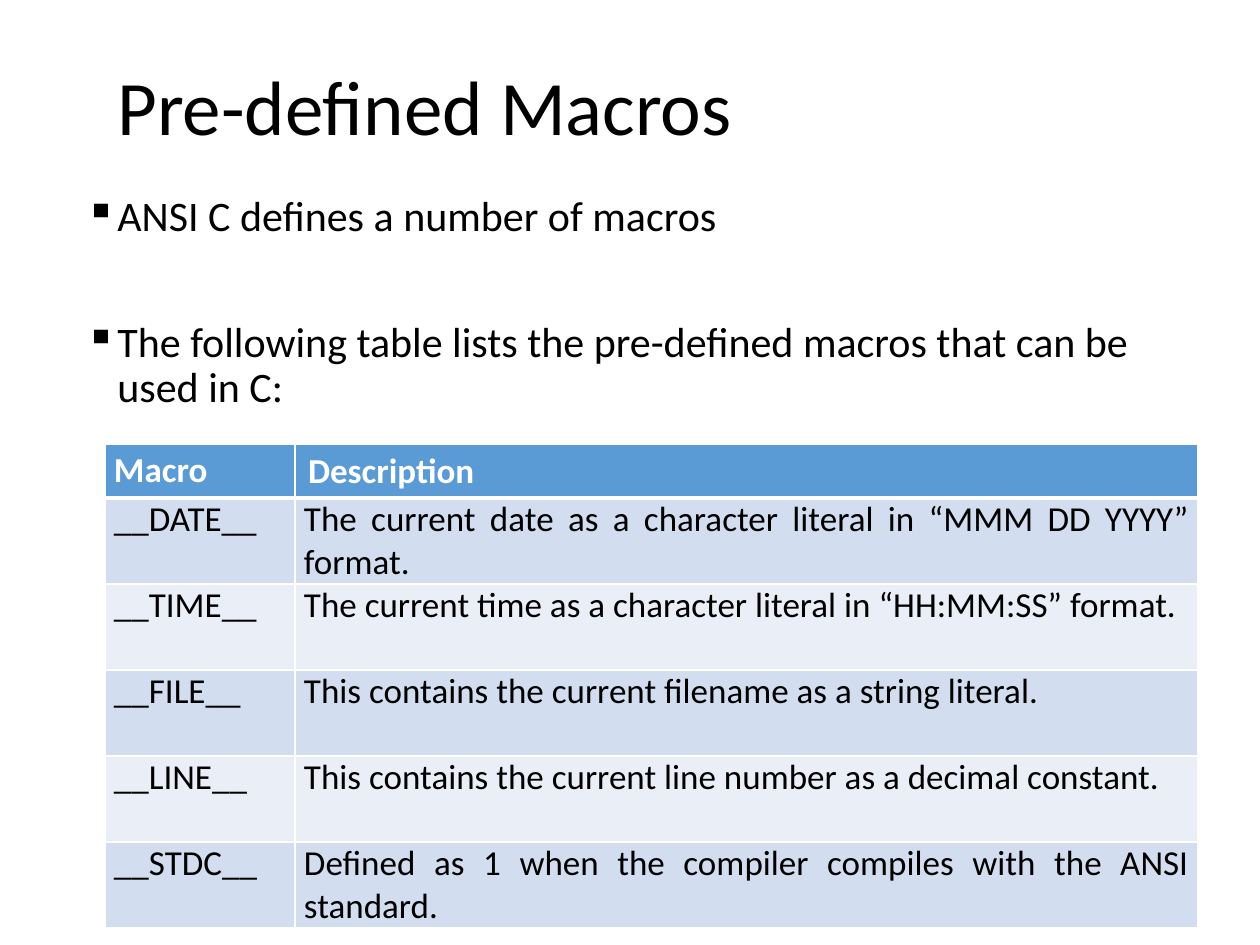
import lxml.etree
import pptx
import pptx.dml.color
import pptx.enum.text
import pptx.oxml.ns
import pptx.util

PX_PER_INCH = 126
FONT = "Calibri"
BLACK = "000000"
WHITE = "FFFFFF"
HEADER_FILL = "5B9BD5"
BAND_FILLS = ["D2DEEF", "EAEFF7"]
JUSTIFY = pptx.enum.text.PP_ALIGN.JUSTIFY
LEFT = pptx.enum.text.PP_ALIGN.LEFT
TOP = pptx.enum.text.MSO_ANCHOR.TOP
MIDDLE = pptx.enum.text.MSO_ANCHOR.MIDDLE
BODY_INSETS = {"margin_left": 9, "margin_top": 0, "margin_right": 9, "margin_bottom": 0}
HEADER_INSETS = {"margin_left": 13, "margin_top": 6, "margin_right": 13, "margin_bottom": 6}
COLUMN_WIDTHS = [190, 903]
HEADER_HEIGHT = 53
ROW_HEIGHT = 86
MACROS = [
    ("__DATE__", "The current date as a character literal in “MMM DD YYYY” format."),
    ("__TIME__", "The current time as a character literal in “HH:MM:SS” format."),
    ("__FILE__", "This contains the current filename as a string literal."),
    ("__LINE__", "This contains the current line number as a decimal constant."),
    ("__STDC__", "Defined as 1 when the compiler compiles with the ANSI standard."),
]


def px(length):
    return pptx.util.Emu(round(length * 914400 / PX_PER_INCH))


def color(value):
    return pptx.dml.color.RGBColor.from_string(value)


def apply(target, values):
    for name, value in values.items():
        setattr(target, name, value)


def add_element(parent, tag, **attributes):
    return lxml.etree.SubElement(parent, pptx.oxml.ns.qn(tag), attributes)


def write_paragraph(paragraph, text, size, font_color=BLACK, bold=False, **layout):
    apply(paragraph, layout)
    run = paragraph.add_run()
    run.text = text
    apply(run.font, {"name": FONT, "size": pptx.util.Pt(size), "bold": bold})
    run.font.color.rgb = color(font_color)


def add_text_frame(slide, left, top, width, height, anchor):
    shape = slide.shapes.add_textbox(px(left), px(top), px(width), px(height))
    apply(shape.text_frame, {"word_wrap": True, "vertical_anchor": anchor})
    return shape.text_frame


def add_title(slide, text):
    frame = add_text_frame(slide, 105, 32, 1071, 157, MIDDLE)
    write_paragraph(frame.paragraphs[0], text, 44, line_spacing=0.9)


def add_bullets(slide, texts):
    frame = add_text_frame(slide, 73, 189, 1155, 737, TOP)
    indent = px(32)
    for index, text in enumerate(texts):
        paragraph = frame.add_paragraph() if index else frame.paragraphs[0]
        properties = paragraph._p.get_or_add_pPr()
        properties.set("marL", str(indent))
        properties.set("indent", str(-indent))
        add_element(properties, "a:buChar", char="▪")
        space = pptx.util.Pt(46 if index else 0)
        write_paragraph(paragraph, text, 24, line_spacing=0.9, space_before=space)


def set_borders(cell, bottom_width):
    properties = cell._tc.get_or_add_tcPr()
    widths = {"a:lnL": 1, "a:lnR": 1, "a:lnT": 1, "a:lnB": bottom_width}
    for index, (tag, width) in enumerate(widths.items()):
        line = add_element(properties, tag, w=str(pptx.util.Pt(width)))
        add_element(add_element(line, "a:solidFill"), "a:srgbClr", val=WHITE)
        properties.insert(index, line)


def write_cell(cell, text, fill, insets, anchor, alignment, bottom_width=1, **font):
    apply(cell, {name: px(length) for name, length in insets.items()})
    cell.vertical_anchor = anchor
    cell.fill.solid()
    cell.fill.fore_color.rgb = color(fill)
    set_borders(cell, bottom_width)
    write_paragraph(cell.text_frame.paragraphs[0], text, 20, alignment=alignment, **font)


def add_macro_table(slide):
    height = HEADER_HEIGHT + ROW_HEIGHT * len(MACROS)
    frame = slide.shapes.add_table(
        len(MACROS) + 1, 2, px(105), px(444), px(sum(COLUMN_WIDTHS)), px(height))
    table = frame.table
    apply(table, {"first_row": True, "horz_banding": False})
    for column, width in zip(table.columns, COLUMN_WIDTHS):
        column.width = px(width)
    for index, row in enumerate(table.rows):
        row.height = px(ROW_HEIGHT if index else HEADER_HEIGHT)

    header_style = {"fill": HEADER_FILL, "anchor": MIDDLE, "bottom_width": 3,
                    "font_color": WHITE, "bold": True}
    write_cell(table.cell(0, 0), "Macro", insets=BODY_INSETS, alignment=JUSTIFY, **header_style)
    write_cell(table.cell(0, 1), "Description", insets=HEADER_INSETS, alignment=LEFT, **header_style)
    for row, texts in enumerate(MACROS, 1):
        fill = BAND_FILLS[(row - 1) % 2]
        for column, text in enumerate(texts):
            write_cell(table.cell(row, column), text, fill, BODY_INSETS, TOP, JUSTIFY,
                       bottom_width=1)


def main():
    presentation = pptx.Presentation()
    apply(presentation, {"slide_width": px(1260), "slide_height": px(945)})
    slide = presentation.slides.add_slide(presentation.slide_layouts[6])
    add_title(slide, "Pre-defined Macros")
    add_bullets(slide, [
        "ANSI C defines a number of macros",
        "The following table lists the pre-defined macros that can be used in C:",
    ])
    add_macro_table(slide)
    presentation.save("out.pptx")


if __name__ == "__main__":
    main()
